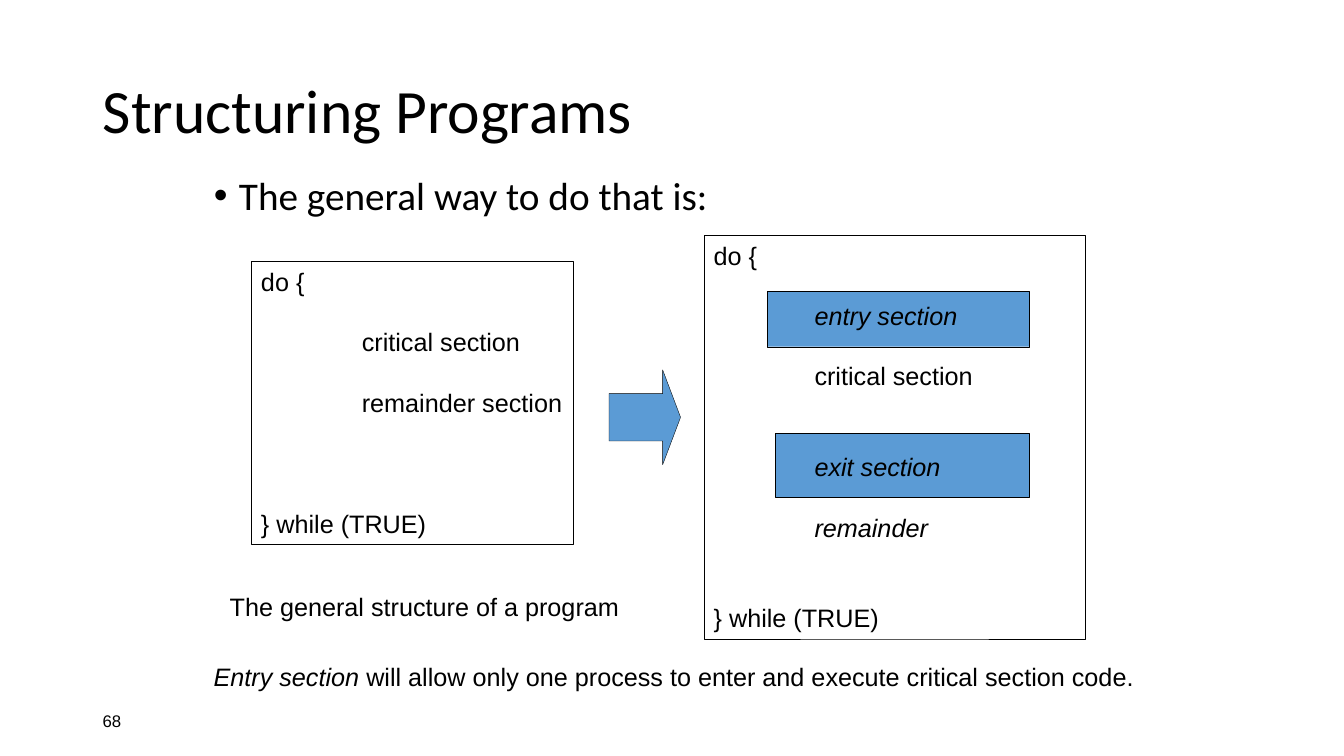
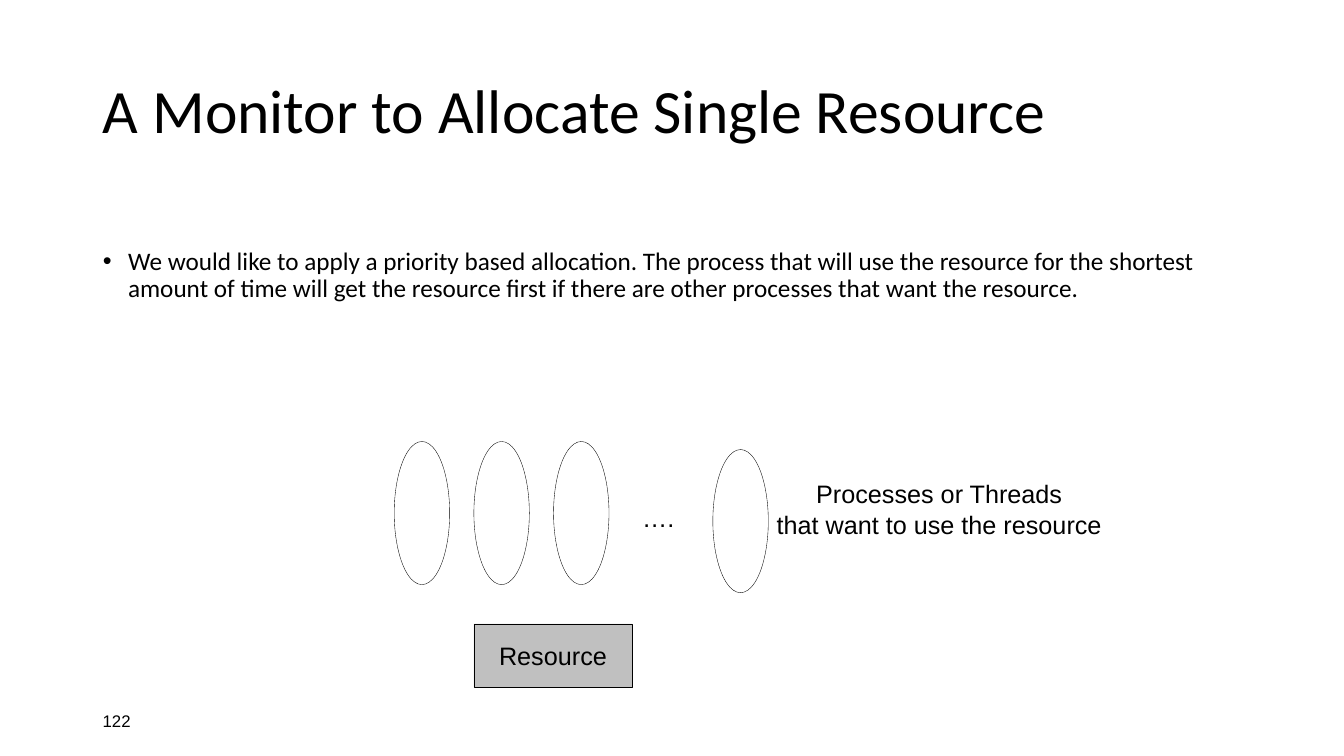
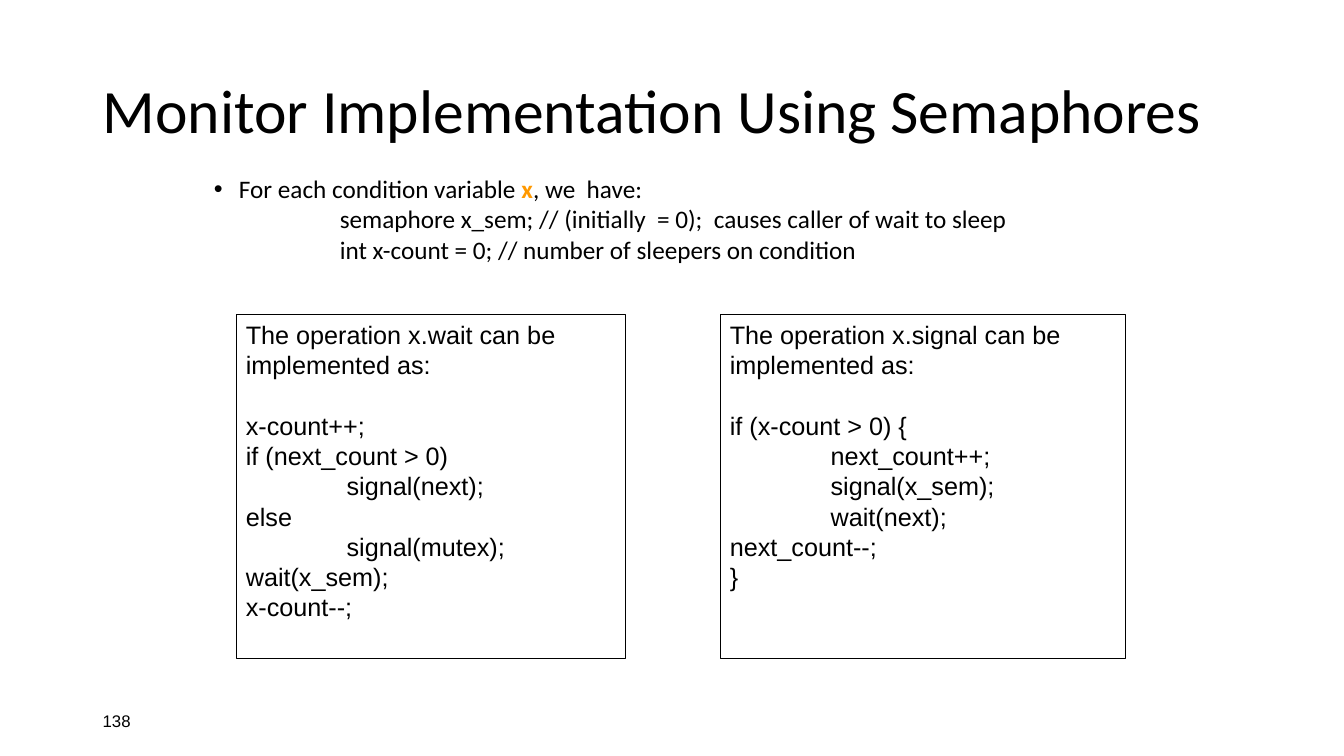
from lxml import etree
from pptx import Presentation
from pptx.dml.color import RGBColor
from pptx.enum import shapes, text
from pptx.oxml.ns import qn
from pptx.util import Inches, Pt

BLACK, BLUE, GREY, ORANGE = "000000", "5B9BD5", "C0C0C0", "FF9900"
PITCH = 21.6  # line pitch of the 18 point Arial text
KIND = shapes.MSO_SHAPE
ANCHOR = text.MSO_ANCHOR

# A line is (runs, options); a run is (words, options).
PLAIN = [
    ("do {", {}),
    ("critical section", dict(indent=1, gap=PITCH)),
    ("remainder section", dict(indent=1, gap=PITCH)),
    ("} while (TRUE)", dict(gap=3 * PITCH)),
]
GUARDED = [
    ("do {", {}),
    ("entry section", dict(indent=1, gap=PITCH, italic=True)),
    ("critical section", dict(indent=1, gap=PITCH)),
    ("exit section", dict(indent=1, gap=2 * PITCH, italic=True)),
    ("remainder", dict(indent=1, gap=PITCH, italic=True)),
    ("} while (TRUE)", dict(gap=2 * PITCH)),
]
ENTRY = [([
    ("Entry section", dict(italic=True)),
    (" will allow only one process to enter and execute critical section code.", {}),
], {})]
PRIORITY = (
    "We would like to apply a priority based allocation. The process that will use "
    "the resource for the shortest amount of time will get the resource first if "
    "there are other processes that want the resource."
)
SETUP = [
    ([("For each condition variable ", {}),
      ("x", dict(bold=True, color=ORANGE)),
      (", we  have:", {})], {}),
    ("semaphore x_sem; // (initially  = 0);  causes caller of wait to sleep",
     dict(indent=1.25, gap=2.4, plain=True)),
    ("int x-count = 0; // number of sleepers on condition",
     dict(indent=1.25, gap=2.4, plain=True)),
]
WAIT = [
    ("The operation x.wait can be implemented as:", {}),
    ("x-count++;", dict(gap=PITCH)),
    ("if (next_count > 0)", {}),
    ("signal(next);", dict(indent=1)),
    ("else", {}),
    ("signal(mutex);", dict(indent=1)),
    ("wait(x_sem);", {}),
    ("x-count--;", {}),
]
SIGNAL = [
    ("The operation x.signal can be implemented as:", {}),
    ("if (x-count > 0) {", dict(gap=PITCH)),
    ("next_count++;", dict(indent=1)),
    ("signal(x_sem);", dict(indent=1)),
    ("wait(next);", dict(indent=1)),
    ("next_count--;", {}),
    ("}", {}),
]


def rgb(code):
    return RGBColor.from_string(code)


def place(item, box):
    item.left, item.top, item.width, item.height = [Inches(v) for v in box]


def write(frame, lines, size=18, font="Arial", pitch=Pt(PITCH),
          center=False, anchor=ANCHOR.TOP):
    """Fill a text frame with a string or with (runs, options) lines."""
    frame.word_wrap = True
    frame.auto_size = text.MSO_AUTO_SIZE.NONE
    frame.vertical_anchor = anchor
    frame.margin_left = Inches(0.1)
    frame.margin_right = Inches(0.1 if center else 0.05)
    frame.margin_top = frame.margin_bottom = Inches(0.05)
    if isinstance(lines, str):
        lines = [(lines, {})]
    for n, (runs, opts) in enumerate(lines):
        para = frame.add_paragraph() if n else frame.paragraphs[0]
        props = para._p.get_or_add_pPr()
        if "indent" in opts:
            props.set("marL", str(Inches(opts["indent"])))
            props.set("indent", "0")
        if opts.get("plain"):
            etree.SubElement(props, qn("a:buNone"))
        if center:
            para.alignment = text.PP_ALIGN.CENTER
        elif anchor == ANCHOR.TOP:
            para.alignment = text.PP_ALIGN.LEFT
        para.line_spacing = pitch
        para.space_before = Pt(opts.get("gap", 0))
        if isinstance(runs, str):
            runs = [(runs, {})]
        for words, look in runs:
            look = {**opts, **look}
            run = para.add_run()
            run.text = words
            run.font.name, run.font.size = font, Pt(size)
            run.font.bold = look.get("bold", False)
            run.font.italic = look.get("italic", False)
            run.font.color.rgb = rgb(look.get("color", BLACK))


def label(slide, box, lines, **form):
    item = slide.shapes.add_textbox(*[Inches(v) for v in box])
    write(item.text_frame, lines, **form)


def draw(slide, kind, box, fill=None, lines=None, **form):
    item = slide.shapes.add_shape(kind, *[Inches(v) for v in box])
    item.shadow.inherit = False
    if fill:
        item.fill.solid()
        item.fill.fore_color.rgb = rgb(fill)
    else:
        item.fill.background()
    item.line.color.rgb = rgb(BLACK)
    item.line.width = Pt(0.25)
    if lines:
        write(item.text_frame, lines, **form)
    return item


def theme(deck):
    """Set the shared title and list styles and return the layout."""
    styles = deck.slide_master.element.find(qn("p:txStyles"))
    title = styles.find(qn("p:titleStyle")).find(qn("a:lvl1pPr"))
    title.set("algn", "l")
    body = styles.find(qn("p:bodyStyle")).find(qn("a:lvl1pPr"))
    body.set("marL", str(Inches(0.25)))
    body.set("indent", str(Inches(-0.25)))
    layout = deck.slide_layouts[1]
    place(layout.placeholders[0], (0.92, 0.4, 11.5, 1.45))
    return layout


def start(deck, layout, title, number, box, body, size=18):
    """Add a slide with its title, list and number."""
    slide = deck.slides.add_slide(layout)
    write(slide.shapes.title.text_frame, title, size=44, font="Calibri",
          pitch=0.9, anchor=ANCHOR.MIDDLE)
    holder = slide.placeholders[1]
    place(holder, box)
    write(holder.text_frame, body, size=size, font="Calibri", pitch=0.9)
    label(slide, (0.92, 6.95, 3, 0.4), number, size=12, pitch=1.0,
          anchor=ANCHOR.MIDDLE)
    return slide


def main():
    deck = Presentation()
    deck.slide_width, deck.slide_height = Inches(13.33), Inches(7.5)
    layout = theme(deck)

    slide = start(deck, layout, "Structuring Programs", "68",
                  (2.02, 1.7, 9.29, 0.63), "The general way to do that is:", size=28)
    for box in ((7.61, 2.89, 2.6, 0.55), (7.69, 4.3, 2.52, 0.63)):
        draw(slide, KIND.RECTANGLE, box, BLUE)
    draw(slide, KIND.RECTANGLE, (2.49, 2.59, 3.19, 2.81), lines=PLAIN)
    draw(slide, KIND.RECTANGLE, (6.98, 2.33, 3.78, 4.01), lines=GUARDED)
    arrow = draw(slide, KIND.RIGHT_ARROW, (6.04, 3.67, 0.71, 0.94), BLUE)
    arrow.adjustments[1] = 0.25
    label(slide, (2.18, 5.82, 4.1, 0.41), "The general structure of a program")
    label(slide, (2.02, 6.51, 9.48, 0.41), ENTRY)

    slide = start(deck, layout, "A Monitor to Allocate Single Resource", "122",
                  (0.92, 2.42, 11.5, 4.34), PRIORITY)
    draw(slide, KIND.RECTANGLE, (4.7, 6.19, 1.57, 0.63), GREY, "Resource",
         center=True, anchor=ANCHOR.MIDDLE)
    for step, top in ((0, 4.38), (1, 4.38), (2, 4.38), (4, 4.46)):
        draw(slide, KIND.OVAL, (3.91 + 0.79 * step, top, 0.55, 1.42))
    label(slide, (6.27, 4.93, 0.52, 0.41), "….")
    label(slide, (7.59, 4.7, 3.45, 0.71),
          [("Processes or Threads", {}), ("that want to use the resource", {})],
          center=True)

    slide = start(deck, layout, "Monitor Implementation Using Semaphores", "138",
                  (2.02, 1.7, 9.29, 1.65), SETUP)
    for left, width, code in ((2.34, 3.86, WAIT), (7.14, 4.02, SIGNAL)):
        draw(slide, KIND.RECTANGLE, (left, 3.12, width, 3.41), lines=code)

    deck.save("out.pptx")


if __name__ == "__main__":
    main()
